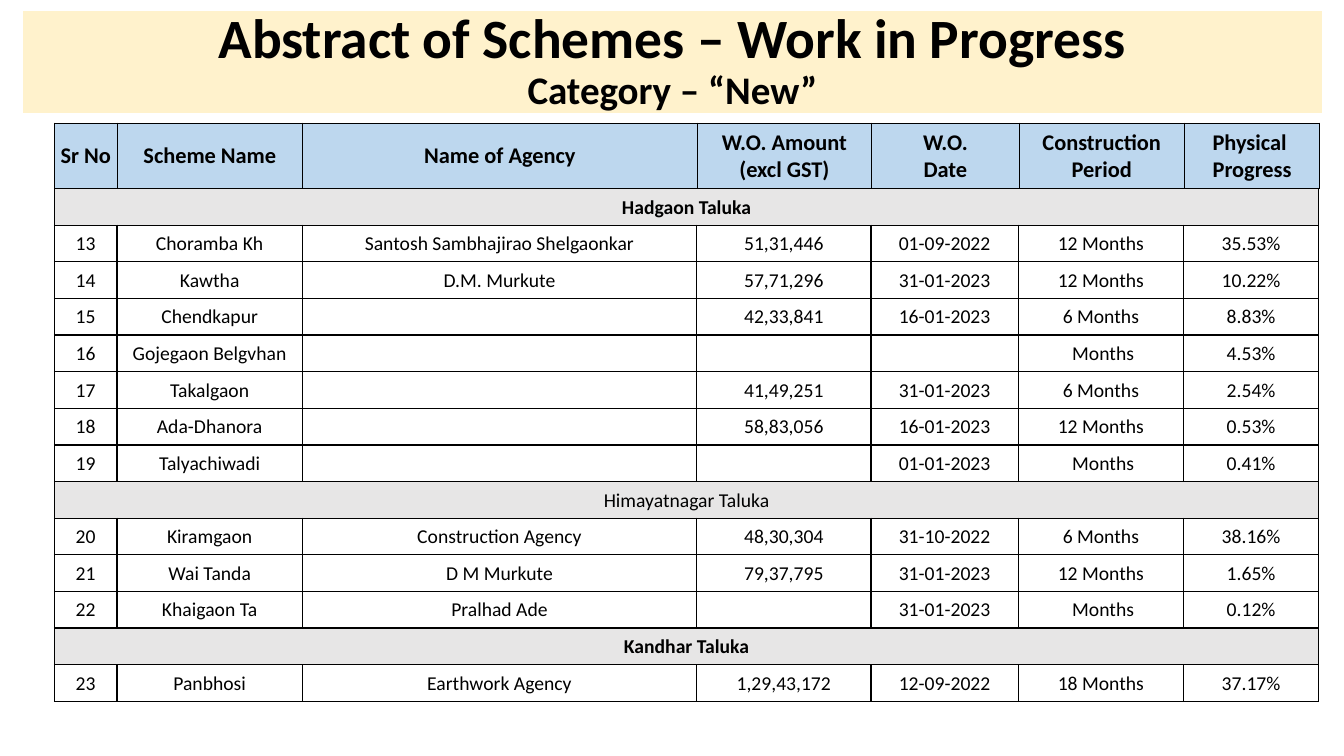
from lxml import etree
from pptx import Presentation
from pptx.dml.color import RGBColor
from pptx.enum.shapes import MSO_SHAPE
from pptx.enum.text import MSO_ANCHOR, PP_ALIGN
from pptx.oxml.ns import qn
from pptx.util import Inches, Pt

RECTANGLE = MSO_SHAPE.RECTANGLE
MIDDLE = MSO_ANCHOR.MIDDLE
CENTER = PP_ALIGN.CENTER

BLACK = "000000"
BANNER_FILL = "FFF2CC"
HEADER_FILL = "BDD7EE"
TALUKA_FILL = "E7E6E6"
CELL_FORMAT = {
    "vertical_anchor": MIDDLE,
    "margin_left": Inches(0.01),
    "margin_right": Inches(0.01),
    "margin_top": Inches(0.01),
    "margin_bottom": 0,
}

HEADINGS = [
    "Sr No", "Scheme Name", "Name of Agency", "W.O. Amount\v(excl GST)",
    "W.O.\vDate", "Construction\vPeriod", "Physical \nProgress",
]
COLUMN_WIDTHS = [0.62, 1.84, 3.91, 1.73, 1.46, 1.64, 1.34]
FIRST_SERIAL = 13
TALUKAS = [
    ("Hadgaon Taluka", True, [
        ("Choramba Kh", "Santosh Sambhajirao Shelgaonkar", "51,31,446", "01-09-2022", "12 Months", "35.53%"),
        ("Kawtha", "D.M. Murkute", "57,71,296", "31-01-2023", "12 Months", "10.22%"),
        ("Chendkapur", "", "42,33,841", "16-01-2023", "6 Months", "8.83%"),
        ("Gojegaon Belgvhan", "", "", "", " Months", "4.53%"),
        ("Takalgaon", "", "41,49,251", "31-01-2023", "6 Months", "2.54%"),
        ("Ada-Dhanora", "", "58,83,056", "16-01-2023", "12 Months", "0.53%"),
        ("Talyachiwadi", "", "", "01-01-2023", " Months", "0.41%"),
    ]),
    ("Himayatnagar Taluka", False, [
        ("Kiramgaon", "Construction Agency", "48,30,304", "31-10-2022", "6 Months", "38.16%"),
        ("Wai Tanda", "D M Murkute", "79,37,795", "31-01-2023", "12 Months", "1.65%"),
        ("Khaigaon Ta", "Pralhad Ade", "", "31-01-2023", " Months", "0.12%"),
    ]),
    ("Kandhar Taluka", True, [
        ("Panbhosi", "Earthwork Agency", "1,29,43,172", "12-09-2022", "18 Months", "37.17%"),
    ]),
]


def color(hex_value):
    return RGBColor.from_string(hex_value)


def apply_format(target, values):
    for key, value in values.items():
        setattr(target, key, value)


def style_run(run, size, bold):
    apply_format(run.font, {"name": "Calibri", "size": Pt(size), "bold": bold})
    run.font.color.rgb = color(BLACK)


def set_borders(cell, widths):
    properties = cell._tc.get_or_add_tcPr()
    for position, (side, width) in enumerate(zip("LRTB", widths)):
        border = etree.Element(qn(f"a:ln{side}"), w=str(Pt(width)))
        fill = etree.SubElement(border, qn("a:solidFill"))
        etree.SubElement(fill, qn("a:srgbClr"), val=BLACK)
        properties.insert(position, border)


def fill_cell(cell, text, size, bold, fill, borders):
    apply_format(cell, CELL_FORMAT)
    cell.text = text
    for paragraph in cell.text_frame.paragraphs:
        paragraph.alignment = CENTER
        for run in paragraph.runs:
            style_run(run, size, bold)
    if fill:
        cell.fill.solid()
        cell.fill.fore_color.rgb = color(fill)
    else:
        cell.fill.background()
    set_borders(cell, borders)


def add_grid(slide, row_count, left, top, width, height):
    grid = slide.shapes.add_table(
        row_count, len(COLUMN_WIDTHS),
        Inches(left), Inches(top), Inches(width), Inches(height),
    ).table
    apply_format(grid, {"first_row": False, "horz_banding": False})
    scale = width / sum(COLUMN_WIDTHS)
    for column, column_width in zip(grid.columns, COLUMN_WIDTHS):
        column.width = Inches(column_width * scale)
    for row in grid.rows:
        row.height = Inches(height / row_count)
    return grid


def add_banner(slide, left, top, width, height):
    banner = slide.shapes.add_shape(
        RECTANGLE, Inches(left), Inches(top), Inches(width), Inches(height))
    banner.shadow.inherit = False
    banner.fill.solid()
    banner.fill.fore_color.rgb = color(BANNER_FILL)
    banner.line.fill.background()
    frame = banner.text_frame
    apply_format(frame, {
        "word_wrap": True, "vertical_anchor": MIDDLE,
        "margin_top": Inches(0.05), "margin_bottom": Inches(0.05),
    })
    heading = frame.paragraphs[0]
    apply_format(heading, {"alignment": CENTER, "line_spacing": 0.9})
    heading.text = "Abstract of Schemes – Work in Progress\vCategory – “New”"
    for run, size in zip(heading.runs, [39.6, 27.9]):
        style_run(run, size, True)


def add_heading_row(slide, left, top, width, height):
    grid = add_grid(slide, 1, left, top, width, height)
    for cell, heading in zip(grid.rows[0].cells, HEADINGS):
        fill_cell(cell, heading, 16, True, HEADER_FILL, [0.5, 0.5, 0.5, 1])


def add_schemes(slide, left, top, width, height):
    rows = []
    serial = FIRST_SERIAL
    for taluka, bold, schemes in TALUKAS:
        rows.append(([taluka] + [""] * (len(HEADINGS) - 1), bold, TALUKA_FILL))
        for scheme in schemes:
            rows.append(([str(serial), *scheme], False, None))
            serial += 1
    grid = add_grid(slide, len(rows), left, top, width, height)
    for row, (texts, bold, fill) in zip(grid.rows, rows):
        cells = list(row.cells)
        for cell, text in zip(cells, texts):
            fill_cell(cell, text, 14, bold, fill, [1, 1, 1, 1])
        if fill:
            cells[0].merge(cells[-1])


def main():
    deck = Presentation()
    apply_format(deck, {"slide_width": Inches(13.33), "slide_height": Inches(7.5)})
    slide = deck.slides.add_slide(deck.slide_layouts[6])
    add_banner(slide, 0.23, 0.11, 12.88, 1.01)
    add_heading_row(slide, 0.54, 1.22, 12.55, 0.65)
    add_schemes(slide, 0.54, 1.87, 12.54, 5.09)
    deck.save("out.pptx")


if __name__ == "__main__":
    main()
